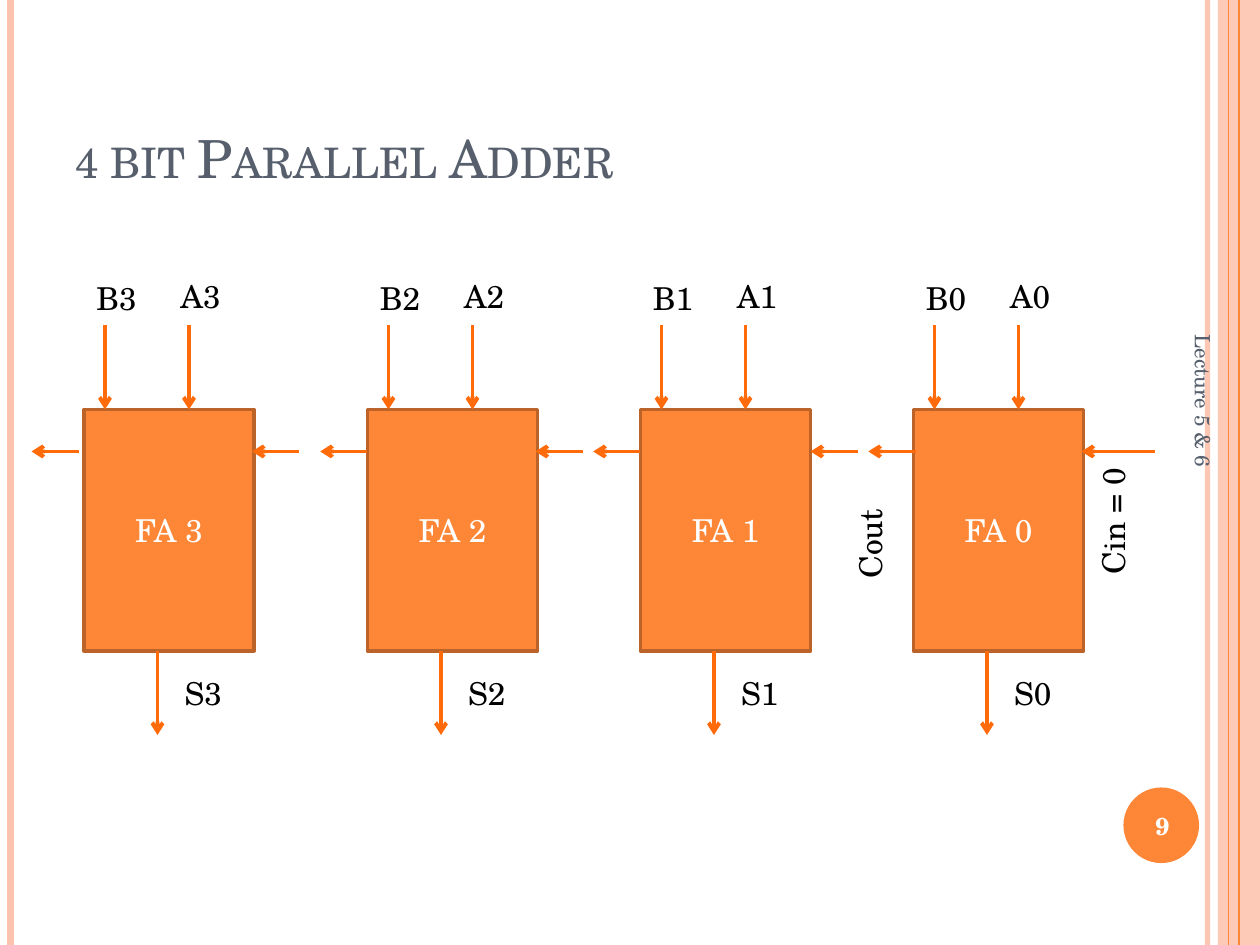
from dataclasses import dataclass
from typing import Any

from lxml.etree import SubElement as Sub
from pptx import Presentation
from pptx.dml.color import RGBColor as RGB
from pptx.enum.shapes import MSO_CONNECTOR as Link, MSO_SHAPE as Form
from pptx.enum.text import MSO_ANCHOR as Anchor, MSO_AUTO_SIZE as Auto, PP_ALIGN as Align
from pptx.oxml.ns import qn
from pptx.util import Inches, Pt

WIDE, HIGH = 10, 7.5
COLS, ROWS = 120, 90
FONT = "TeX Gyre Schola"
ORANGE, PINK, EDGE, ARROW = "FE8637", "FEC3AE", "BC6329", "FF6B0A"
SLATE, WHITE, BLACK = "575F6D", "FFFFFF", "000000"
TOP, BASE, CARRY = 39, 62, 43


@dataclass(frozen=True)
class Adder:
    """One full adder: its bit, left column and carry arrows."""
    bit: int
    left: float
    enter: float
    leave: float
    reach: float = 4.5


@dataclass(frozen=True)
class Rule:
    """One upright line of the frame."""
    col: float
    width: float
    color: str
    alpha: int = 100


ADDERS = (
    Adder(0, 87, 110, 87.2, 7),
    Adder(1, 61, 81.7, 61),
    Adder(2, 35, 55.5, 35),
    Adder(3, 8, 28.5, 7.5),
)
RULES = (
    Rule(115, 3, PINK, 93),
    Rule(1, 4.5, PINK),
    Rule(118, 1.5, ORANGE),
    Rule(117, 0.75, ORANGE),
)


def across(col: float) -> int:
    """Turn grid columns into a length."""
    return Inches(WIDE * col / COLS)


def down(row: float) -> int:
    """Turn grid rows into a length."""
    return Inches(HIGH * row / ROWS)


def place(col: float, row: float, wide: float, high: float) -> tuple[int, int, int, int]:
    """Turn a grid box into left, top, width and height."""
    return across(col), down(row), across(wide), down(high)


def paint(style: Any, color: str) -> None:
    """Give a fill a solid colour."""
    style.solid()
    style.fore_color.rgb = RGB.from_string(color)


def fade(shape: Any, alpha: int) -> None:
    """Make the colours of a shape partly clear."""
    if alpha < 100:
        for tint in shape.element.spPr.iter(qn("a:srgbClr")):
            Sub(tint, qn("a:alpha"), val=str(alpha * 1000))


def write(shape: Any, text: str, *, size: float = 18, color: str = BLACK,
          bold: bool = False, small: bool = False, align: Any = Align.LEFT,
          anchor: Any = Anchor.TOP, grow: bool = False, vert: str = "") -> None:
    """Put formatted text into a shape."""
    frame = shape.text_frame
    frame.word_wrap = True
    frame.vertical_anchor = anchor
    if grow:
        frame.auto_size = Auto.SHAPE_TO_FIT_TEXT
    if vert:
        frame._txBody.bodyPr.set("vert", vert)
    line = frame.paragraphs[0]
    line.alignment = align
    run = line.add_run()
    run.text = text
    font = run.font
    font.name, font.size, font.bold = FONT, Pt(size), bold
    font.color.rgb = RGB.from_string(color)
    if small:
        run._r.get_or_add_rPr().set("cap", "small")


def label(slide: Any, text: str, box: tuple, turn: float = 0, **style: Any) -> None:
    """Add a text box on the grid."""
    shape = slide.shapes.add_textbox(*place(*box))
    shape.rotation = turn
    write(shape, text, **style)


def block(slide: Any, form: Any, box: tuple, color: str, edge: str = "", alpha: int = 100) -> Any:
    """Add a filled shape on the grid."""
    shape = slide.shapes.add_shape(form, *place(*box))
    shape.shadow.inherit = False
    paint(shape.fill, color)
    if edge:
        paint(shape.line.fill, edge)
        shape.line.width = Pt(2)
    else:
        shape.line.fill.background()
    fade(shape, alpha)
    return shape


def stroke(slide: Any, start: tuple, end: tuple, color: str = ARROW,
           width: float = 2.25, head: bool = True) -> Any:
    """Add a straight line, with an arrowhead at its end if asked."""
    line = slide.shapes.add_connector(
        Link.STRAIGHT, across(start[0]), down(start[1]), across(end[0]), down(end[1]))
    paint(line.line.fill, color)
    line.line.width = Pt(width)
    if head:
        Sub(line.line._get_or_add_ln(), qn("a:tailEnd"), type="arrow")
    Sub(line.element.spPr, qn("a:effectLst"))
    return line


def border(slide: Any) -> None:
    """Draw the side bands and the number disc."""
    block(slide, Form.RECTANGLE, (116, 0, 4, ROWS), PINK, alpha=87)
    for rule in RULES:
        line = stroke(slide, (rule.col, 0), (rule.col, ROWS), rule.color, rule.width, False)
        fade(line, rule.alpha)
    block(slide, Form.OVAL, (107, 75, 7.2, 7.2), ORANGE)


def draw(slide: Any, adder: Adder) -> None:
    """Draw a full adder with its arrows and labels."""
    left, bit = adder.left, adder.bit
    body = block(slide, Form.RECTANGLE, (left, TOP, 16.2, BASE - TOP), ORANGE, EDGE)
    write(body, f"FA {bit}", color=WHITE, align=Align.CENTER, anchor=Anchor.MIDDLE)
    for shift, start, end in ((10, 31, TOP), (2, 31, TOP), (7, BASE, 70)):
        stroke(slide, (left + shift, start), (left + shift, end))
    for start, reach in ((adder.enter, adder.reach), (adder.leave, 4.5)):
        stroke(slide, (start, CARRY), (start - reach, CARRY))
    for name, shift, row, wide in (("A", 8, 25.8, 7.4), ("B", 0, 26, 7), ("S", 8.4, 63.6, 13)):
        label(slide, f"{name}{bit}", (left + shift, row, wide, 4.8), grow=True)


def main() -> None:
    """Build and save the slide."""
    deck = Presentation()
    deck.slide_width, deck.slide_height = Inches(WIDE), Inches(HIGH)
    slide = deck.slides.add_slide(deck.slide_layouts[6])
    border(slide)
    label(slide, "4 bit Parallel Adder", (6, 3.6, 98, 15), size=30, color=SLATE,
          small=True, anchor=Anchor.BOTTOM)
    label(slide, "9", (106.7, 75.2, 8, 6.8), size=14, color=WHITE, bold=True,
          align=Align.CENTER, anchor=Anchor.MIDDLE)
    label(slide, "Lecture 5 & 6", (93.6, 49.3, 42, 4.8), 90, size=12, color=SLATE,
          anchor=Anchor.MIDDLE)
    for adder in ADDERS:
        draw(slide, adder)
    label(slide, "Cin = 0", (103.6, 43.4, 6, 12.5), grow=True, vert="vert270")
    label(slide, "Cout", (80.5, 44.8, 6, 11.5), grow=True, vert="vert270")
    deck.save("out.pptx")


if __name__ == "__main__":
    main()
